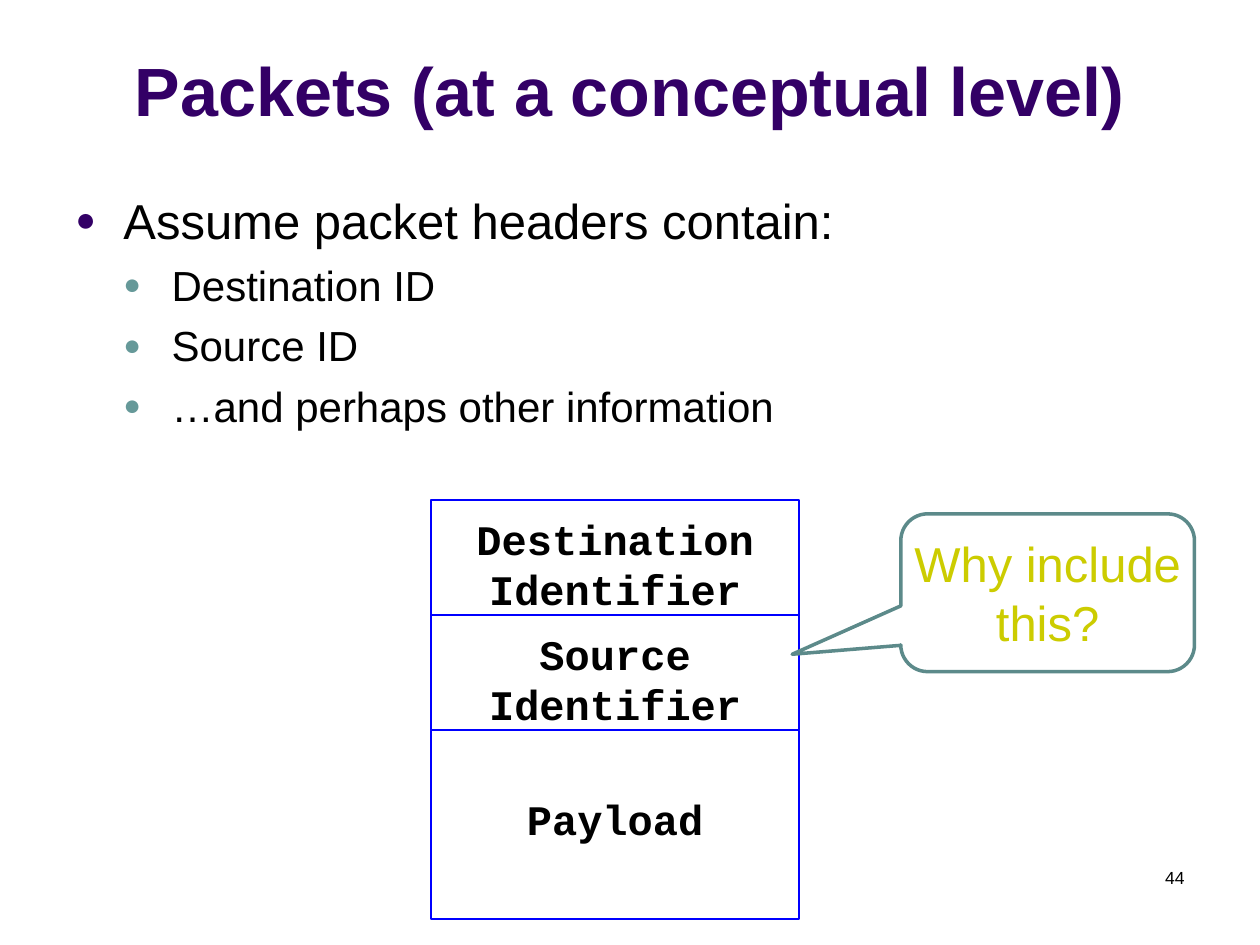
from lxml import etree
from pptx import Presentation
from pptx import util as u
from pptx.dml.color import RGBColor
from pptx.enum import shapes, text
from pptx.oxml import ns

PURPLE = RGBColor(0x33, 0x00, 0x66)
TEAL = RGBColor(0x66, 0x99, 0x99)
DARK_TEAL = RGBColor(0x5C, 0x8A, 0x8A)
BLUE = RGBColor(0x00, 0x00, 0xFF)
YELLOW = RGBColor(0xCC, 0xCC, 0x00)
BLACK = RGBColor(0x00, 0x00, 0x00)
WHITE = RGBColor(0xFF, 0xFF, 0xFF)

CENTER = text.PP_ALIGN.CENTER
FIELD_LEFT, FIELD_TOP, FIELD_WIDTH = 8.69, 10.08, 7.42
FIELDS = [
    (["Destination", "Identifier"], 2.32, 0.27),
    (["Source", "Identifier"], 2.32, 0.27),
    (["Payload"], 3.81, 1.28),
]
BULLETS = [
    ("Assume packet headers contain:", 0),
    ("Destination ID", 1),
    ("Source ID", 1),
    ("…and perhaps other information", 1),
]
BULLET_LEVELS = [
    {"size": 28, "color": PURPLE, "space": 0},
    {"size": 24, "color": TEAL, "space": 5.7},
]
INDENT = 0.97


def set_attributes(target, values):
    for name, value in values.items():
        setattr(target, name, value)


def place(*lengths):
    return [u.Cm(length) for length in lengths]


def write_lines(frame, lines, size, color=BLACK, font="Arial", bold=False, **layout):
    """Write one paragraph per line, all in the same format."""
    for index, line in enumerate(lines):
        paragraph = frame.paragraphs[0] if index == 0 else frame.add_paragraph()
        set_attributes(paragraph, layout)
        run = paragraph.add_run()
        run.text = line
        set_attributes(run.font, {"name": font, "size": u.Pt(size), "bold": bold})
        run.font.color.rgb = color


def add_text(slide, box, lines, size, anchor=text.MSO_ANCHOR.TOP, **style):
    frame = slide.shapes.add_textbox(*place(*box)).text_frame
    set_attributes(frame, {"word_wrap": True, "vertical_anchor": anchor})
    write_lines(frame, lines, size, **style)


def set_bullet(paragraph, level, color):
    properties = paragraph._p.get_or_add_pPr()
    properties.set("marL", str(u.Cm(INDENT * (level + 1))))
    properties.set("indent", str(-u.Cm(INDENT)))
    bullet_color = etree.SubElement(properties, ns.qn("a:buClr"))
    etree.SubElement(bullet_color, ns.qn("a:srgbClr"), val=str(color))
    etree.SubElement(properties, ns.qn("a:buSzPct"), val="70000")
    etree.SubElement(properties, ns.qn("a:buFont"), typeface="Arial")
    etree.SubElement(properties, ns.qn("a:buChar"), char="●")


def add_bullets(slide, box):
    frame = slide.shapes.add_textbox(*place(*box)).text_frame
    set_attributes(frame, {"word_wrap": True, "margin_top": u.Cm(0.23)})
    for index, (line, level) in enumerate(BULLETS):
        look = BULLET_LEVELS[level]
        paragraph = frame.paragraphs[0] if index == 0 else frame.add_paragraph()
        set_attributes(paragraph, {"level": level, "space_before": u.Pt(look["space"])})
        set_bullet(paragraph, level, look["color"])
        run = paragraph.add_run()
        run.text = line
        set_attributes(run.font, {"name": "Arial", "size": u.Pt(look["size"])})
        run.font.color.rgb = BLACK


def add_outlined_shape(slide, kind, box, line_color, line_width):
    shape = slide.shapes.add_shape(kind, *place(*box))
    shape.shadow.inherit = False
    shape.line.color.rgb = line_color
    shape.line.width = u.Pt(line_width)
    return shape


def add_packet(slide):
    """Stack the packet fields from top to bottom."""
    top = FIELD_TOP
    for lines, height, margin in FIELDS:
        box = (FIELD_LEFT, top, FIELD_WIDTH, height)
        field = add_outlined_shape(slide, shapes.MSO_SHAPE.RECTANGLE, box, BLUE, 0.75)
        field.fill.background()
        frame = field.text_frame
        set_attributes(frame, {"word_wrap": True, "margin_top": u.Cm(margin),
                               "vertical_anchor": text.MSO_ANCHOR.TOP})
        write_lines(frame, lines, 24, font="Courier New", bold=True,
                    alignment=CENTER, line_spacing=u.Pt(28.6))
        top += height


def add_callout(slide, box, lines):
    kind = shapes.MSO_SHAPE.ROUNDED_RECTANGULAR_CALLOUT
    callout = add_outlined_shape(slide, kind, box, DARK_TEAL, 2)
    callout.fill.solid()
    callout.fill.fore_color.rgb = WHITE
    for index, value in enumerate([-0.87, 0.39, 0.17]):
        callout.adjustments[index] = value
    frame = callout.text_frame
    set_attributes(frame, {"word_wrap": False, "vertical_anchor": text.MSO_ANCHOR.MIDDLE})
    write_lines(frame, lines, 28, YELLOW, alignment=CENTER, line_spacing=u.Pt(33.7))


def main():
    presentation = Presentation()
    presentation.slide_width, presentation.slide_height = place(25.4, 19.05)
    slide = presentation.slides.add_slide(presentation.slide_layouts[6])
    add_text(slide, (0, 0.33, 25.4, 2.41), ["Packets (at a conceptual level)"], 39,
             anchor=text.MSO_ANCHOR.BOTTOM, color=PURPLE, bold=True, alignment=CENTER)
    add_bullets(slide, (1.27, 3.61, 23.7, 13.44))
    add_text(slide, (18.21, 17.35, 5.92, 1.27), ["44"], 10,
             alignment=text.PP_ALIGN.RIGHT)
    add_packet(slide)
    add_callout(slide, (18.16, 10.36, 5.92, 3.18), ["Why include", "this?"])
    presentation.save("out.pptx")


if __name__ == "__main__":
    main()
